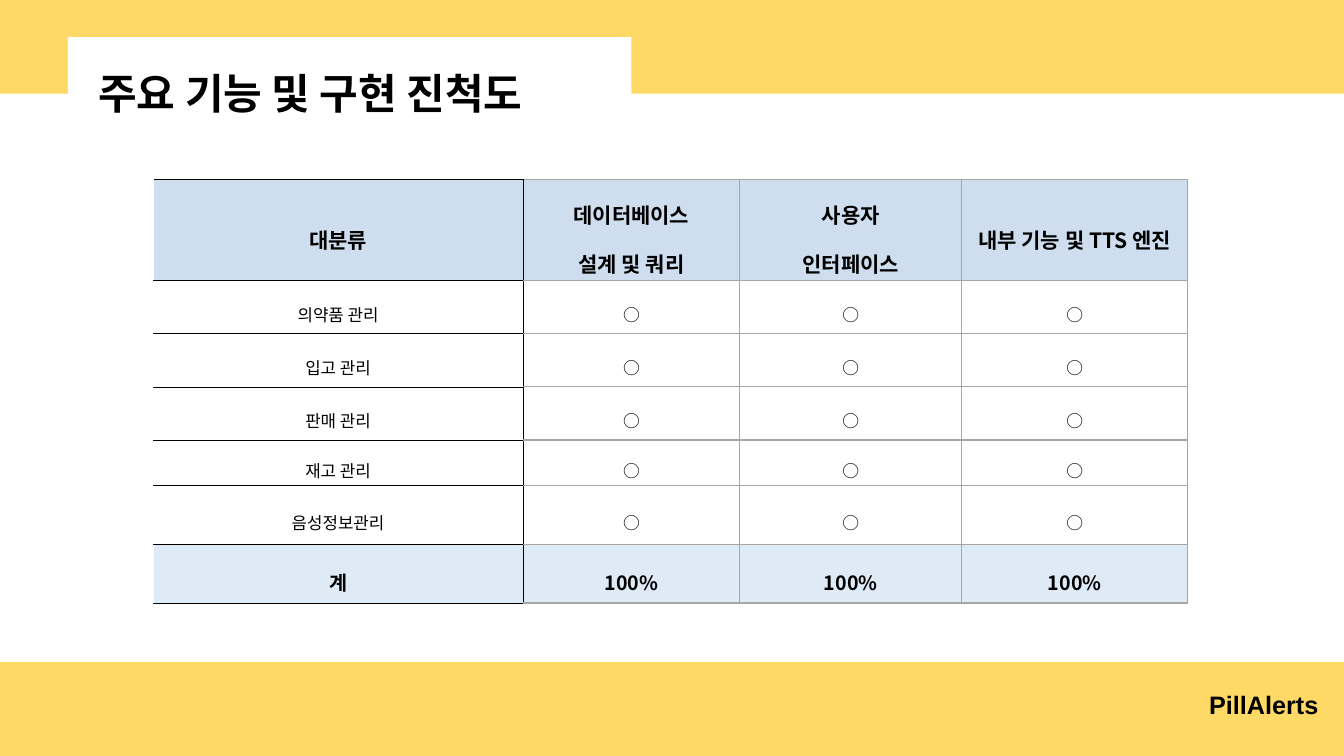
import lxml.etree
import pptx
import pptx.dml.color
import pptx.enum.shapes
import pptx.enum.text
import pptx.oxml.ns
import pptx.util

Pt = pptx.util.Pt
ANCHOR = pptx.enum.text.MSO_ANCHOR
ALIGN = pptx.enum.text.PP_ALIGN
KOREAN_FONT = "Noto Sans CJK KR"
SLIDE_WIDTH, SLIDE_HEIGHT, BAND_HEIGHT = 960, 540, 67

YELLOW, WHITE, BLACK = "FFD966", "FFFFFF", "000000"
HEADER_BLUE, TOTAL_BLUE, GREY = "CEDEEF", "DEEBF7", "A6A6A6"
THIN_BLACK, THIN_WHITE, GREY_LINE = (BLACK, 0.28), (WHITE, 0.28), (GREY, 1)

COLUMN_WIDTHS = [264, 155, 158.5, 161.5]
ROW_HEIGHTS = [69, 38, 38, 38, 32.5, 42, 42]
HEADERS = ["대분류", "데이터베이스\n설계 및 쿼리", "사용자\n인터페이스", "내부 기능 및 TTS 엔진"]
FEATURES = ["의약품 관리", "입고 관리", "판매 관리", "재고 관리", "음성정보관리"]


def set_color(color_owner, hex_color):
    """Apply a hex colour to a fill or a font."""
    if hasattr(color_owner, "solid"):
        color_owner.solid()
        color_owner = color_owner.fore_color
    else:
        color_owner = color_owner.color
    color_owner.rgb = pptx.dml.color.RGBColor.from_string(hex_color)


def format_text(text_frame, size, bold, align, line_spacing, font_name=KOREAN_FONT):
    """Format every paragraph of a text frame alike."""
    for paragraph in text_frame.paragraphs:
        paragraph.alignment = align
        paragraph.line_spacing = line_spacing
        font = paragraph.font
        font.size, font.bold, font.name = Pt(size), bold, font_name
        set_color(font, BLACK)
        east_asian = lxml.etree.SubElement(font._element, pptx.oxml.ns.qn("a:ea"))
        east_asian.set("typeface", font_name)


def add_rectangle(slide, left, top, width, height, hex_color):
    """Draw a plain filled rectangle."""
    shape = slide.shapes.add_shape(
        pptx.enum.shapes.MSO_SHAPE.RECTANGLE, Pt(left), Pt(top), Pt(width), Pt(height))
    shape.shadow.inherit = False
    set_color(shape.fill, hex_color)
    shape.line.fill.background()


def add_heading(slide, left, top, width, height):
    """Place the white tab and the slide title on it."""
    add_rectangle(slide, left, top, width, height, WHITE)
    title = slide.shapes.title
    slide.shapes._spTree.append(title._element)
    title.left, title.top = Pt(left + 14.5), Pt(top)
    title.width, title.height = Pt(360), Pt(55)
    text_frame = title.text_frame
    text_frame.text = "주요 기능 및 구현 진척도"
    text_frame.word_wrap = False
    text_frame.auto_size = pptx.enum.text.MSO_AUTO_SIZE.NONE
    text_frame.vertical_anchor = ANCHOR.TOP
    format_text(text_frame, 30, True, ALIGN.LEFT, 1.5)


def add_footer(slide, left, top, width, height):
    """Place the product name in the bottom band."""
    text_box = slide.shapes.add_textbox(Pt(left), Pt(top), Pt(width), Pt(height))
    text_frame = text_box.text_frame
    text_frame.text = "PillAlerts"
    text_frame.word_wrap = True
    text_frame.vertical_anchor = ANCHOR.BOTTOM
    format_text(text_frame, 18, True, ALIGN.CENTER, 0.9, "Arial")


def set_borders(cell, left, right, top, bottom):
    """Give each side of a cell its (colour, width) line."""
    properties = cell._tc.get_or_add_tcPr()
    sides = zip(("lnL", "lnR", "lnT", "lnB"), (left, right, top, bottom))
    for position, (tag, (hex_color, width)) in enumerate(sides):
        line = properties.makeelement(pptx.oxml.ns.qn("a:" + tag), {"w": str(int(Pt(width)))})
        fill = lxml.etree.SubElement(line, pptx.oxml.ns.qn("a:solidFill"))
        lxml.etree.SubElement(fill, pptx.oxml.ns.qn("a:srgbClr")).set("val", hex_color)
        properties.insert(position, line)


def format_cell(cell, column, size, bold, fill_color):
    """Style a cell; the first column has thin black rules."""
    cell.margin_left = cell.margin_right = Pt(5)
    cell.margin_top = cell.margin_bottom = Pt(1.4)
    cell.vertical_anchor = ANCHOR.MIDDLE
    format_text(cell.text_frame, size, bold, ALIGN.CENTER, 1.6)
    if fill_color:
        set_color(cell.fill, fill_color)
    else:
        cell.fill.background()
    if column == 0:
        set_borders(cell, THIN_WHITE, THIN_BLACK, THIN_BLACK, THIN_BLACK)
    else:
        left = THIN_BLACK if column == 1 else GREY_LINE
        set_borders(cell, left, GREY_LINE, GREY_LINE, GREY_LINE)


def add_progress_table(slide, left, top):
    """Build the table of features and their progress."""
    rows = [(HEADERS, 15, True, HEADER_BLUE)]
    rows += [([feature] + ["○"] * 3, 12, False, None) for feature in FEATURES]
    rows.append((["계"] + ["100%"] * 3, 14, True, TOTAL_BLUE))
    table = slide.shapes.add_table(
        len(rows), len(COLUMN_WIDTHS), Pt(left), Pt(top),
        Pt(sum(COLUMN_WIDTHS)), Pt(sum(ROW_HEIGHTS))).table
    table.first_row = table.horz_banding = False
    for column, width in zip(table.columns, COLUMN_WIDTHS):
        column.width = Pt(width)
    for row, height in zip(table.rows, ROW_HEIGHTS):
        row.height = Pt(height)
    for row_index, (texts, size, bold, fill_color) in enumerate(rows):
        for column_index, text in enumerate(texts):
            cell = table.cell(row_index, column_index)
            cell.text = text
            format_cell(cell, column_index, size, bold, fill_color)


def build_progress_slide(presentation):
    """Add the slide with its bands, heading, table and footer."""
    slide = presentation.slides.add_slide(presentation.slide_layouts.get_by_name("Title Only"))
    for top in (0, SLIDE_HEIGHT - BAND_HEIGHT):
        add_rectangle(slide, 0, top, SLIDE_WIDTH, BAND_HEIGHT, YELLOW)
    add_footer(slide, 845.5, 483, 114.5, 35)
    add_heading(slide, 48.5, 26.5, 402.5, 92)
    add_progress_table(slide, 109.5, 128)


presentation = pptx.Presentation()
presentation.slide_width, presentation.slide_height = Pt(SLIDE_WIDTH), Pt(SLIDE_HEIGHT)
build_progress_slide(presentation)
presentation.save("out.pptx")
